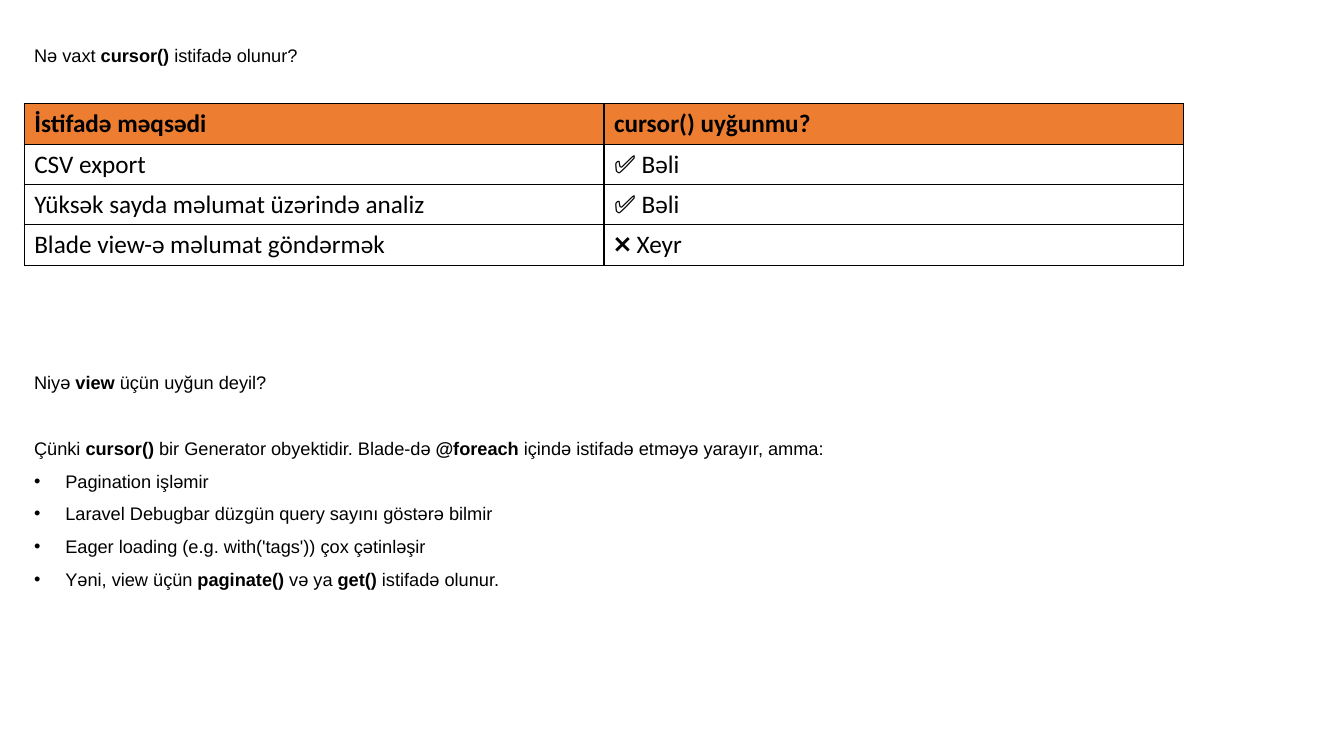
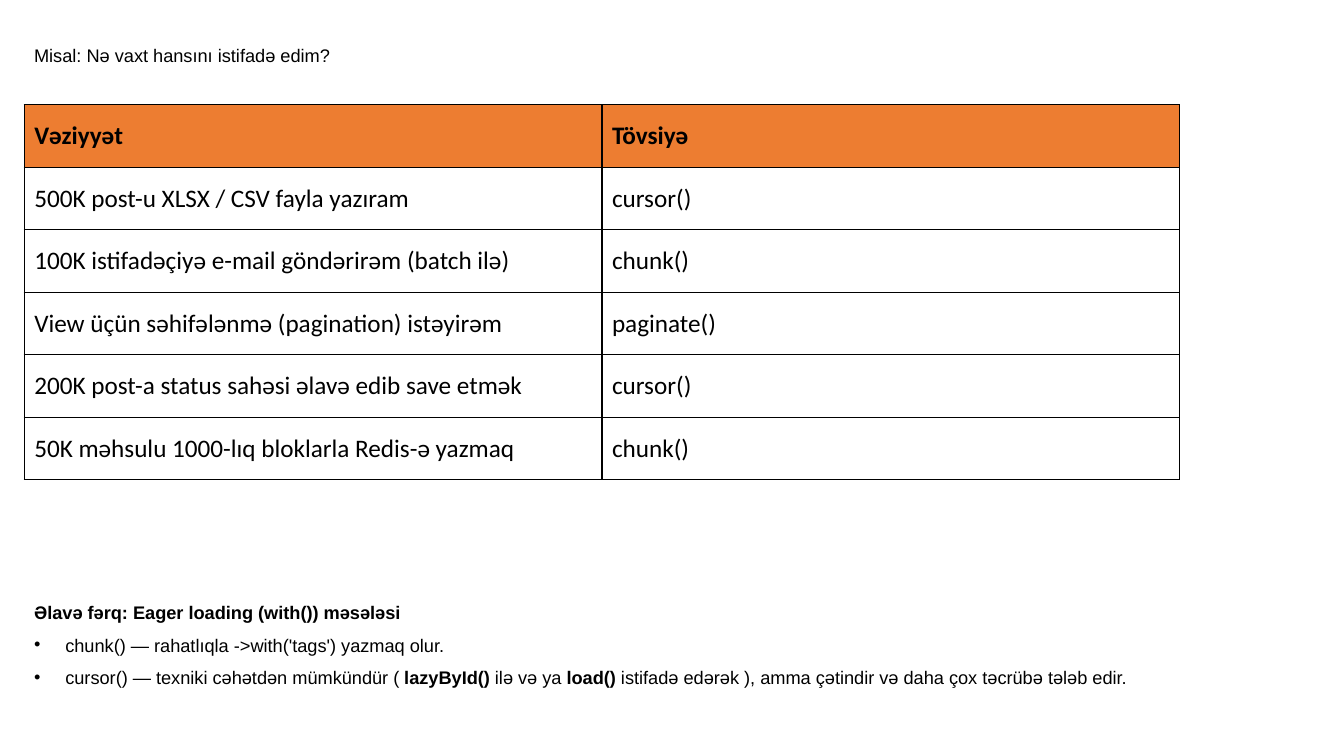
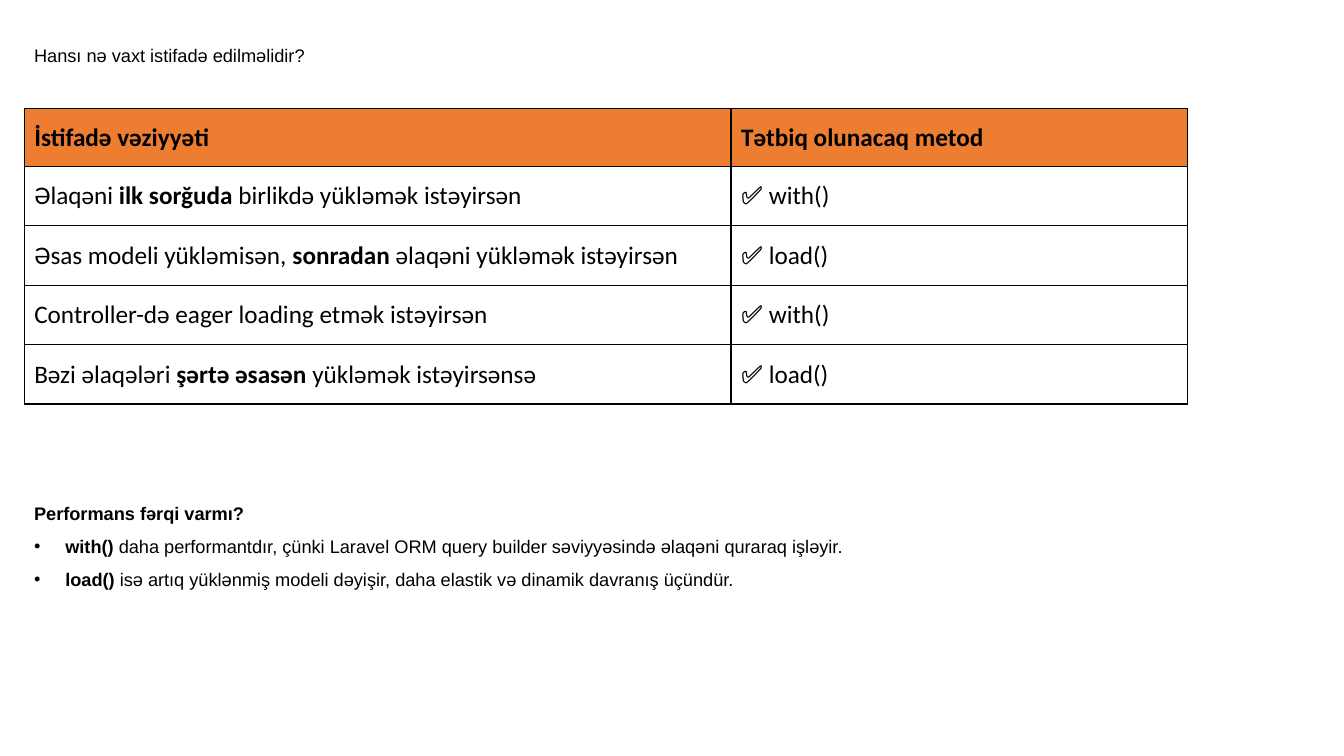
from lxml import etree
from pptx import Presentation
from pptx.dml.color import RGBColor
from pptx.enum.text import MSO_ANCHOR
from pptx.oxml.ns import qn
from pptx.util import Inches, Pt

MIDDLE = MSO_ANCHOR.MIDDLE
BLACK = RGBColor(0, 0, 0)
ORANGE = RGBColor(0xED, 0x7D, 0x31)

BODY = {"name": "Arial", "size": Pt(13)}
CELL = {"name": "Calibri", "size": Pt(18)}
LEFT, TOP, WIDTH = 0.24, 0.28, 12.86
LINE = 0.325  # drawn height of one body line
INSET = 0.1
INDENT = Inches(0.31)


class Deck:
    def __init__(self):
        self.prs = Presentation()
        self.prs.slide_width = Inches(13.33)
        self.prs.slide_height = Inches(7.5)
        self.slide = None

    def page(self, title):
        self.slide = self.prs.slides.add_slide(self.prs.slide_layouts[6])
        self.text(0, [title])

    def runs(self, para, text, style, bold=False):
        """Add runs; parts between asterisks are bold."""
        for i, part in enumerate(text.split("*")):
            if not part:
                continue
            run = para.add_run()
            run.text = part
            for key, value in style.items():
                setattr(run.font, key, value)
            run.font.bold = bold or i % 2 == 1
            run.font.color.rgb = BLACK

    def text(self, row, lines, points=(), gap=0):
        """Place lines, then bullet points, at a row of the line grid."""
        count = len(lines) + len(points) + (len(lines) - 1) * gap
        box = self.slide.shapes.add_textbox(
            Inches(LEFT), Inches(TOP + row * LINE),
            Inches(WIDTH), Inches(count * LINE + INSET))
        frame = box.text_frame
        frame.word_wrap = True
        for i, line in enumerate([*lines, *points]):
            para = frame.add_paragraph() if i else frame.paragraphs[0]
            if i >= len(lines):
                self.bullet(para)
            elif i and gap:
                para.space_before = Inches(gap * LINE)
            para.line_spacing = 1.5
            self.runs(para, line, BODY)

    def bullet(self, para):
        props = para._p.get_or_add_pPr()
        props.set("marL", str(INDENT))
        props.set("indent", str(-INDENT))
        font = etree.SubElement(props, qn("a:buFont"))
        font.set("typeface", "Arial")
        etree.SubElement(props, qn("a:buChar")).set("char", "•")

    def border(self, cell):
        props = cell._tc.get_or_add_tcPr()
        for side in ("lnL", "lnR", "lnT", "lnB"):
            line = etree.SubElement(props, qn("a:" + side))
            line.set("w", str(Pt(1)))
            fill = etree.SubElement(line, qn("a:solidFill"))
            etree.SubElement(fill, qn("a:srgbClr")).set("val", str(BLACK))

    def table(self, top, widths, heights, rows):
        grid = self.slide.shapes.add_table(
            len(rows), len(widths), Inches(LEFT), Inches(top),
            Inches(sum(widths)), Inches(sum(heights))).table
        grid.horz_banding = False
        for col, width in zip(grid.columns, widths):
            col.width = Inches(width)
        for r, (row, height) in enumerate(zip(rows, heights)):
            grid.rows[r].height = Inches(height)
            for c, text in enumerate(row):
                cell = grid.cell(r, c)
                cell.vertical_anchor = MIDDLE
                self.border(cell)
                if r == 0:
                    cell.fill.solid()
                    cell.fill.fore_color.rgb = ORANGE
                else:
                    cell.fill.background()
                self.runs(cell.text_frame.paragraphs[0], text, CELL, r == 0)


def main():
    deck = Deck()

    deck.page("Nə vaxt *cursor() *istifadə olunur?")
    deck.table(1.03, [5.75] * 2, [0.4] * 4, [
        ("İstifadə məqsədi", "cursor() uyğunmu?"),
        ("CSV export", "✅ Bəli"),
        ("Yüksək sayda məlumat üzərində analiz", "✅ Bəli"),
        ("Blade view-ə məlumat göndərmək", "❌ Xeyr"),
    ])
    deck.text(10, [
        "Niyə *view* üçün uyğun deyil?",
        "Çünki *cursor() *bir Generator obyektidir. Blade-də *@foreach *"
        "içində istifadə etməyə yarayır, amma:",
    ], [
        "Pagination işləmir",
        "Laravel Debugbar düzgün query sayını göstərə bilmir",
        "Eager loading (e.g. with('tags')) çox çətinləşir",
        "Yəni, view üçün *paginate() *və ya *get() *istifadə olunur.",
    ], gap=1)

    deck.page("Misal: Nə vaxt hansını istifadə edim?")
    deck.table(1.04, [5.73] * 2, [0.62] * 6, [
        ("Vəziyyət", "Tövsiyə"),
        ("500K post-u XLSX / CSV fayla yazıram", "cursor()"),
        ("100K istifadəçiyə e-mail göndərirəm (batch ilə)", "chunk()"),
        ("View üçün səhifələnmə (pagination) istəyirəm", "paginate()"),
        ("200K post-a status sahəsi əlavə edib save etmək", "cursor()"),
        ("50K məhsulu 1000-lıq bloklarla Redis-ə yazmaq", "chunk()"),
    ])
    deck.text(17, ["*Əlavə fərq: Eager loading (with()) məsələsi*"], [
        "chunk() — rahatlıqla ->with('tags') yazmaq olur.",
        "cursor() — texniki cəhətdən mümkündür ( *lazyById() *ilə və ya "
        "*load() *istifadə edərək ), amma çətindir və daha çox təcrübə "
        "tələb edir.",
    ])

    deck.page("Hansı nə vaxt istifadə edilməlidir?")
    deck.table(1.08, [7.01, 4.53], [0.57] + [0.59] * 4, [
        ("İstifadə vəziyyəti", "Tətbiq olunacaq metod"),
        ("Əlaqəni *ilk sorğuda* birlikdə yükləmək istəyirsən", "✅ with()"),
        ("Əsas modeli yükləmisən, *sonradan* əlaqəni yükləmək istəyirsən",
         "✅ load()"),
        ("Controller-də eager loading etmək istəyirsən", "✅ with()"),
        ("Bəzi əlaqələri *şərtə əsasən* yükləmək istəyirsənsə", "✅ load()"),
    ])
    deck.text(14, ["*Performans fərqi varmı?*"], [
        "*with() *daha performantdır, çünki Laravel ORM query builder "
        "səviyyəsində əlaqəni quraraq işləyir.",
        "*load() *isə artıq yüklənmiş modeli dəyişir, daha elastik və "
        "dinamik davranış üçündür.",
    ])

    deck.prs.save("out.pptx")


if __name__ == "__main__":
    main()
